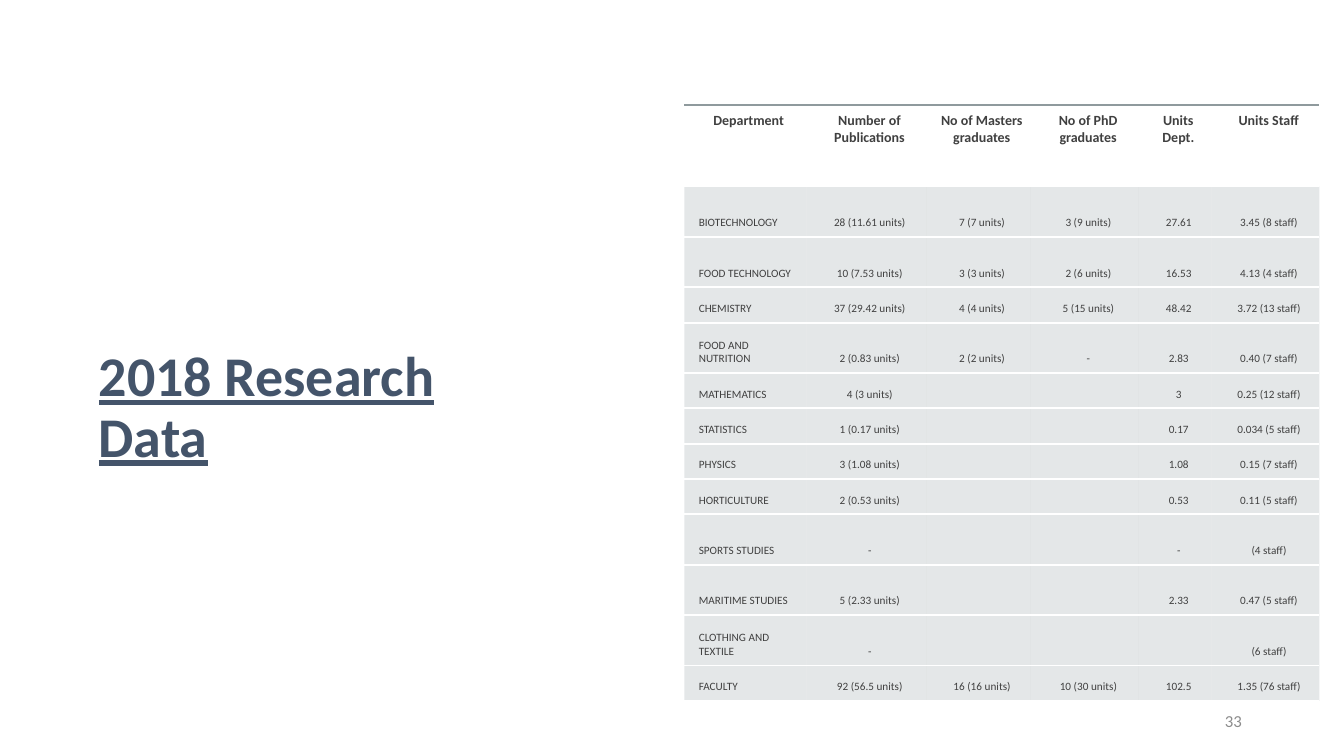
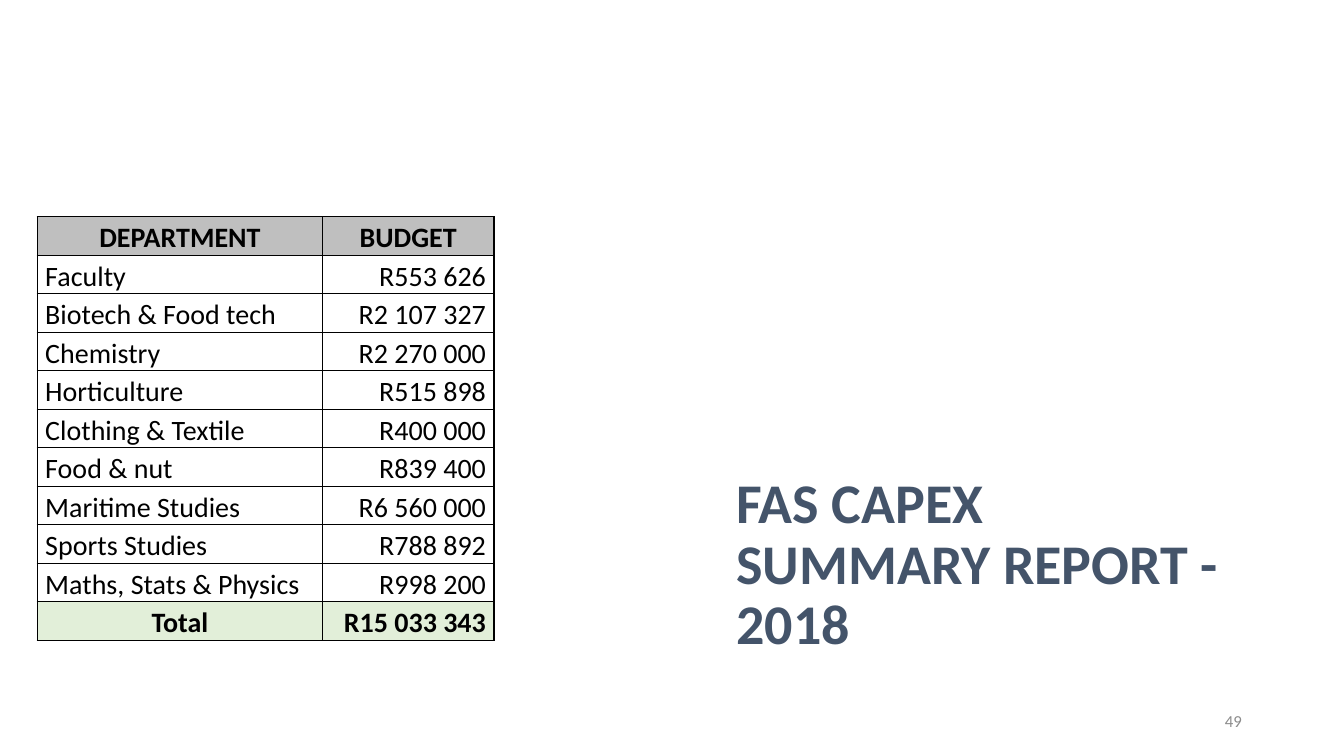
"""Builds the research data slide and the capital budget slide."""
from lxml import etree
from pptx import Presentation
from pptx.dml.color import RGBColor
from pptx.enum.text import MSO_ANCHOR, PP_ALIGN
from pptx.oxml.ns import qn
from pptx.util import Cm, Pt

LEFT, CENTER, RIGHT = PP_ALIGN.LEFT, PP_ALIGN.CENTER, PP_ALIGN.RIGHT
TOP, MIDDLE, BOTTOM = MSO_ANCHOR.TOP, MSO_ANCHOR.MIDDLE, MSO_ANCHOR.BOTTOM

RESEARCH = [
    ("Department", "Number of Publications", "No of Masters graduates",
     "No of PhD graduates", "Units Dept.", "Units Staff"),
    ("BIOTECHNOLOGY", "28 (11.61 units)", "7 (7 units)", "3 (9 units)", "27.61", "3.45 (8 staff)"),
    ("FOOD TECHNOLOGY", "10 (7.53 units)", "3 (3 units)", "2 (6 units)", "16.53", "4.13 (4 staff)"),
    ("CHEMISTRY", "37 (29.42 units)", "4 (4 units)", "5 (15 units)", "48.42", "3.72 (13 staff)"),
    ("FOOD AND NUTRITION", "2 (0.83 units)", "2 (2 units)", "-", "2.83", "0.40 (7 staff)"),
    ("MATHEMATICS", "4 (3 units)", "", "", "3", "0.25 (12 staff)"),
    ("STATISTICS", "1 (0.17 units)", "", "", "0.17", "0.034 (5 staff)"),
    ("PHYSICS", "3 (1.08 units)", "", "", "1.08", "0.15 (7 staff)"),
    ("HORTICULTURE", "2 (0.53 units)", "", "", "0.53", "0.11 (5 staff)"),
    ("SPORTS STUDIES", "-", "", "", "-", "(4 staff)"),
    ("MARITIME STUDIES", "5 (2.33 units)", "", "", "2.33", "0.47 (5 staff)"),
    ("CLOTHING AND TEXTILE", "-", "", "", "", "(6 staff)"),
    ("FACULTY", "92 (56.5 units)", "16 (16 units)", "10 (30 units)", "102.5", "1.35 (76 staff)"),
]
BUDGET = [
    ("DEPARTMENT", "BUDGET"),
    ("Faculty", "R553 626"),
    ("Biotech & Food tech", "R2 107 327"),
    ("Chemistry", "R2 270 000"),
    ("Horticulture", "R515 898"),
    ("Clothing & Textile", "R400 000"),
    ("Food & nut", "R839 400"),
    ("Maritime Studies", "R6 560 000"),
    ("Sports Studies", "R788 892"),
    ("Maths, Stats & Physics", "R998 200"),
    ("Total", "R15 033 343"),
]


def rgb(value):
    return RGBColor.from_string(value)


class Deck:
    FONT = "Calibri"
    TITLE, NUMBER, BODY, BLACK = "44546A", "8C8C8C", "404040", "000000"
    RULE, WHITE, BAND = "8F9A9D", "FFFFFF", "B4BCBE"
    HEAD, TOTAL = "BFBFBF", "E2EFD9"

    def __init__(self):
        self.prs = Presentation()
        self.prs.slide_width, self.prs.slide_height = Cm(33.87), Cm(19.05)
        self.s = None

    def slide(self, number):
        self.s = self.prs.slides.add_slide(self.prs.slide_layouts[6])
        self.text(str(number), 23.93, 17.65, 7.62, 1.02, 12, self.NUMBER,
                  align=RIGHT, anchor=MIDDLE)

    def fill_text(self, tf, text, size, color, bold=False, underline=None,
                  align=LEFT, spacing=1.0, after=0):
        tf.text = text
        p = tf.paragraphs[0]
        p.alignment, p.line_spacing = align, spacing
        p.space_after = Pt(after)
        for r in p.runs:
            r.font.name, r.font.size = self.FONT, Pt(size)
            r.font.bold, r.font.underline = bold, underline
            r.font.color.rgb = rgb(color)
        if not text:
            etree.SubElement(p._p, qn("a:endParaRPr"), sz=str(size * 100))

    def text(self, text, x, y, w, h, size, color, anchor=TOP, **style):
        tf = self.s.shapes.add_textbox(Cm(x), Cm(y), Cm(w), Cm(h)).text_frame
        tf.word_wrap, tf.vertical_anchor = True, anchor
        self.fill_text(tf, text, size, color, after=6, **style)

    def title(self, text, x, y, w, h, underline=None):
        self.text(text, x, y, w, h, 40, self.TITLE, bold=True,
                  underline=underline, spacing=0.9)

    def table(self, x, y, widths, heights):
        frame = self.s.shapes.add_table(len(heights), len(widths), Cm(x), Cm(y),
                                        Cm(sum(widths)), Cm(sum(heights)))
        table = frame.table
        table.first_row = table.horz_banding = False
        for col, width in zip(table.columns, widths):
            col.width = Cm(width)
        for row, height in zip(table.rows, heights):
            row.height = Cm(height)
        return table

    def cell(self, cell, text, size, color, margins, borders, fill=None,
             alpha=None, anchor=BOTTOM, **style):
        (cell.margin_left, cell.margin_top,
         cell.margin_right, cell.margin_bottom) = map(Cm, margins)
        cell.vertical_anchor = anchor
        self.fill_text(cell.text_frame, text, size, color, **style)
        if fill:
            cell.fill.solid()
            cell.fill.fore_color.rgb = rgb(fill)
        else:
            cell.fill.background()
        tc_pr = cell._tc.get_or_add_tcPr()
        if alpha:
            etree.SubElement(tc_pr.find(".//" + qn("a:srgbClr")), qn("a:alpha"),
                             val=str(alpha * 1000))
        for i, side in enumerate("LRTB"):
            self.border(tc_pr, i, side, borders.get(side))

    def border(self, tc_pr, index, side, line):
        ln = etree.Element(qn("a:ln" + side))
        if line:
            color, width = line
            ln.set("w", str(Pt(width)))
            solid = etree.SubElement(ln, qn("a:solidFill"))
            etree.SubElement(solid, qn("a:srgbClr"), val=color)
        else:
            etree.SubElement(ln, qn("a:noFill"))
        tc_pr.insert(index, ln)

    def research_table(self, rows, x, y):
        tall, short = 1.27, 0.89
        heights = [2.06, tall, tall, short, tall] + [short] * 4 + [tall] * 3 + [short]
        table = self.table(x, y, [3.07, 3.02, 2.64, 2.72, 1.83, 2.72], heights)
        white = (self.WHITE, 1.5)
        for i, row in enumerate(rows):
            for j, text in enumerate(row):
                if i == 0:
                    self.cell(table.cell(i, j), text, 10, self.BODY, (0.36, 0.2, 0.2, 0.2),
                              {"T": (self.RULE, 1.5), "B": white},
                              anchor=TOP, bold=True, align=CENTER)
                else:
                    self.cell(table.cell(i, j), text, 8, self.BODY, (0.36, 0.18, 0.18, 0.18),
                              {"T": white, "B": white}, self.BAND, 35,
                              align=CENTER if j else LEFT)

    def budget_table(self, rows, x, y):
        table = self.table(x, y, [7.19, 4.32], [0.97] * len(rows))
        borders = dict.fromkeys("LRTB", (self.BLACK, 1))
        fills = {0: self.HEAD, len(rows) - 1: self.TOTAL}
        for i, row in enumerate(rows):
            strong = i in fills
            aligns = (CENTER if strong else LEFT, RIGHT if i else CENTER)
            for j, text in enumerate(row):
                self.cell(table.cell(i, j), text, 20, self.BLACK, (0.2, 0, 0.2, 0),
                          borders, fills.get(i), bold=strong, align=aligns[j], spacing=1.07)


def main():
    deck = Deck()
    deck.slide(33)
    deck.title("2018 Research Data", 2.24, 8.66, 10.16, 4.95, underline=True)
    deck.research_table(RESEARCH, 17.25, 2.64)
    deck.slide(49)
    deck.title("FAS CAPEX SUMMARY REPORT - 2018", 18.31, 11.86, 13.36, 3.61)
    deck.budget_table(BUDGET, 0.94, 5.46)
    deck.prs.save("out.pptx")


if __name__ == "__main__":
    main()
